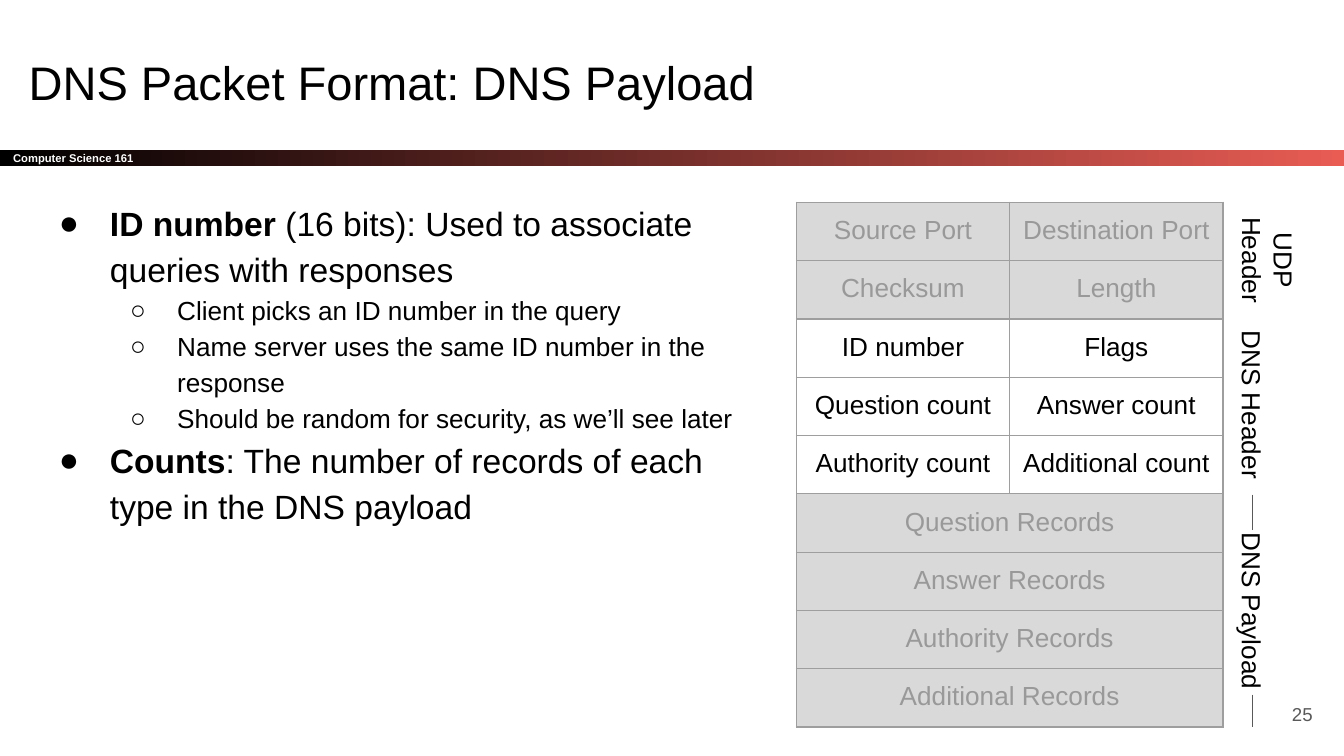
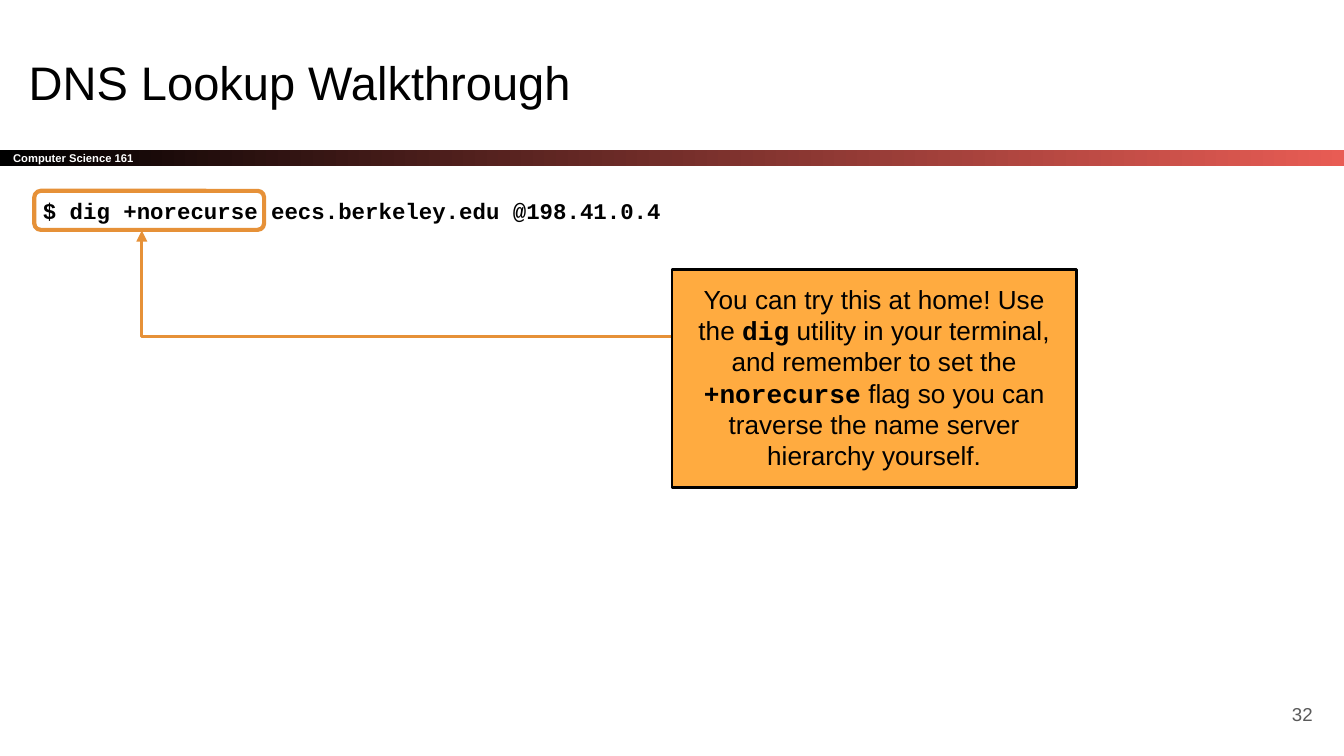
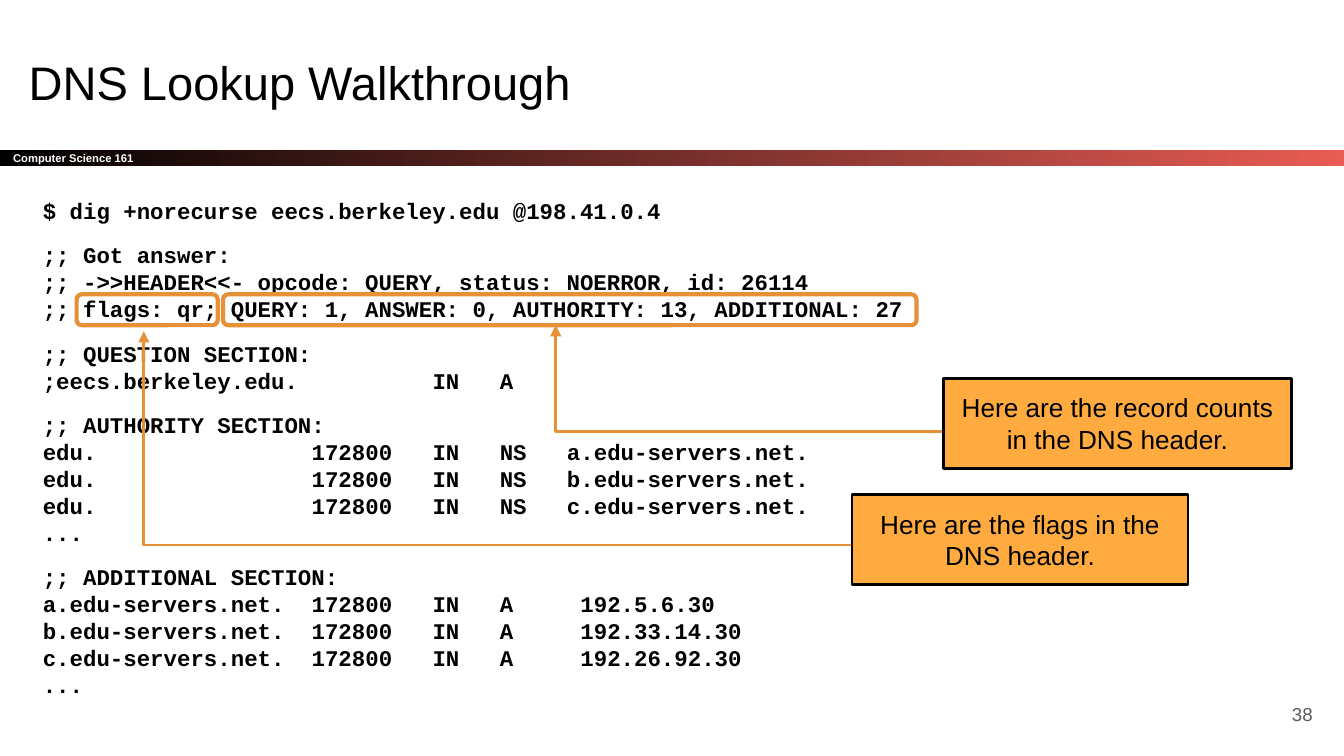
from collections import namedtuple

from lxml.etree import SubElement
from pptx import Presentation
from pptx.dml.color import RGBColor
from pptx.enum.shapes import MSO_CONNECTOR, MSO_SHAPE
from pptx.enum.text import MSO_ANCHOR, PP_ALIGN
from pptx.oxml.ns import qn
from pptx.util import Inches, Pt

COLS, ROWS = 100, 56.25
WIDTH = Inches(10)
UNIT = WIDTH // COLS

SANS, MONO = "Arial", "Courier New"
BLACK, WHITE, RED = "000000", "FFFFFF", "E85C54"
GRAY, MUTED, PALE, RULE = "595959", "999999", "D9D9D9", "9E9E9E"
ORANGE, AMBER = "E69138", "FFAB40"

Box = namedtuple("Box", "x y w h")
TITLE = Box(1.15, 3, 93.2, 6.3)
BAND = Box(0, 11.15, COLS, 1.2)
NUMBER = Box(92.65, 51, 6, 4.3)
BULLETS = Box(2.2, 13.65, 55, 41.2)
TERMINAL = Box(2.2, 13.65, 66.9, 41.2)
PACKET = Box(59.25, 15.05, 31.75, 38.7)

COMMAND = "$ dig +norecurse eecs.berkeley.edu @198.41.0.4"


def rgb(color):
    return RGBColor.from_string(color)


def emu(*lengths):
    return [round(n * UNIT) for n in lengths]


def inside(box, part):
    return Box(box.x + part[0], box.y + part[1], part[2], part[3])


def add_text(tf, text, size=14, color=BLACK, font=SANS, bold=False,
             align=None, before=0, spacing=None, bullet=None, tabs=()):
    p = tf.add_paragraph() if tf.text else tf.paragraphs[0]
    pPr = p._p.get_or_add_pPr()
    if bullet:
        char, p.level, margin, indent = bullet
        pPr.set("marL", str(Inches(margin)))
        pPr.set("indent", str(Inches(indent)))
        clr = SubElement(pPr, qn("a:buClr"))
        SubElement(clr, qn("a:srgbClr"), val=color)
        SubElement(pPr, qn("a:buFont"), typeface=font)
        SubElement(pPr, qn("a:buChar"), char=char)
    if tabs:
        stops = SubElement(pPr, qn("a:tabLst"))
        for col in tabs:
            SubElement(stops, qn("a:tab"), pos=str(col * UNIT), algn="l")
    p.alignment = align
    if before:
        p.space_before = Pt(before)
    if spacing:
        p.line_spacing = spacing
    runs = [(text, {})] if isinstance(text, str) else text
    for words, own in runs:
        r = p.add_run()
        r.text = words
        r.font.size = Pt(size)
        r.font.name = own.get("font", font)
        r.font.bold = own.get("bold", bold)
        r.font.color.rgb = rgb(color)


def frame(sp, anchor=MSO_ANCHOR.TOP):
    tf = sp.text_frame
    tf.word_wrap = True
    tf.vertical_anchor = anchor
    tf.margin_left = tf.margin_right = tf.margin_top = tf.margin_bottom = UNIT
    return tf


def text_box(slide, box, anchor=MSO_ANCHOR.TOP, rotation=0):
    sp = slide.shapes.add_textbox(*emu(*box))
    sp.rotation = rotation
    return frame(sp, anchor)


def add_shape(slide, kind, box, fill=None, line=None, width=1.5):
    sp = slide.shapes.add_shape(kind, *emu(*box))
    style(sp, fill, line, width)
    return sp


def style(sp, fill, line, width):
    sp.shadow.inherit = False
    if fill:
        sp.fill.solid()
        sp.fill.fore_color.rgb = rgb(fill)
    else:
        sp.fill.background()
    if line:
        sp.line.color.rgb = rgb(line)
        sp.line.width = Pt(width)
    else:
        sp.line.fill.background()


def band(slide, box):
    sp = add_shape(slide, MSO_SHAPE.RECTANGLE, box)
    sp.fill.gradient()
    sp.fill.gradient_angle = 0
    for stop, (position, color) in zip(sp.fill.gradient_stops,
                                       ((0, BLACK), (1, RED))):
        stop.position = position
        stop.color.rgb = rgb(color)
    add_text(frame(sp, MSO_ANCHOR.MIDDLE), "Computer Science 161", size=6,
             color=WHITE, bold=True, align=PP_ALIGN.LEFT)


def base_slide(prs, title, number):
    slide = prs.slides.add_slide(prs.slide_layouts[6])
    slide.background.fill.solid()
    slide.background.fill.fore_color.rgb = rgb(WHITE)
    band(slide, BAND)
    add_text(text_box(slide, TITLE), title, size=25.2)
    add_text(text_box(slide, NUMBER, MSO_ANCHOR.MIDDLE), str(number), size=10,
             color=GRAY, align=PP_ALIGN.RIGHT)
    return slide


def bullet_list(slide, box, items):
    tf = text_box(slide, box)
    styles = (18, ("●", 0, 0.5, -0.38)), (14, ("○", 1, 1, -0.35))
    for level, text in items:
        size, bullet = styles[level]
        add_text(tf, text, size=size, bullet=bullet, spacing=1.15)


def cell_style(cell, fill):
    tcPr = cell._tc.get_or_add_tcPr()
    for side in ("lnL", "lnR", "lnT", "lnB"):
        ln = SubElement(tcPr, qn(f"a:{side}"), w=str(Pt(0.75)))
        SubElement(SubElement(ln, qn("a:solidFill")), qn("a:srgbClr"), val=RULE)
    if fill:
        cell.fill.solid()
        cell.fill.fore_color.rgb = rgb(fill)
    else:
        cell.fill.background()
    cell.margin_left = cell.margin_right = UNIT
    cell.margin_top = cell.margin_bottom = UNIT


def packet_table(slide, box, rows, active):
    table = slide.shapes.add_table(len(rows), 2, *emu(*box)).table
    table.first_row = table.horz_banding = False
    for i, names in enumerate(rows):
        for cell in table.rows[i].cells:
            cell_style(cell, None if i in active else PALE)
        if len(names) == 1:
            table.cell(i, 0).merge(table.cell(i, 1))
        for j, name in enumerate(names):
            add_text(table.cell(i, j).text_frame, name, align=PP_ALIGN.CENTER,
                     color=BLACK if i in active else MUTED)


def packet_labels(slide, box, row_count):
    row = box.h / row_count
    right = box.x + box.w
    for text, offset, middle, w, h in (("UDP Header", 3.35, 1, 8.7, 6.7),
                                       ("DNS Header", 2.15, 3.5, 13.1, 4.4),
                                       ("DNS Payload", 2.15, 7.07, 17.2, 4.4)):
        label = Box(right + offset - w / 2, box.y + middle * row - h / 2, w, h)
        add_text(text_box(slide, label, rotation=90), text,
                 align=PP_ALIGN.CENTER)
    for start, end in ((5.06, 5.68), (8.52, 9.08)):
        x = right + 2.2
        line = slide.shapes.add_connector(
            MSO_CONNECTOR.STRAIGHT,
            *emu(x, box.y + start * row, x, box.y + end * row))
        line.line.color.rgb = rgb(GRAY)
        line.line.width = Pt(0.75)
        SubElement(line._element.spPr, qn("a:effectLst"))


def terminal(slide, box, blocks):
    tf = text_box(slide, box)
    for i, (tabs, lines) in enumerate(blocks):
        for j, line in enumerate(lines):
            add_text(tf, line, size=12, font=MONO, bold=True,
                     before=9.5 if i and not j else 0,
                     tabs=tabs if "\t" in line else ())


def elbow_arrow(slide, box):
    x, y, right, bottom = emu(box.x, box.y, box.x + box.w, box.y + box.h)
    path = slide.shapes.build_freeform(x, y)
    path.add_line_segments([(x, bottom), (right, bottom)], close=False)
    sp = path.convert_to_shape()
    style(sp, None, ORANGE, 1.5)
    SubElement(sp.line._get_or_add_ln(), qn("a:headEnd"), type="triangle")


def annotate(slide, box, mark, arrow, note, text):
    elbow_arrow(slide, inside(box, arrow))
    add_shape(slide, MSO_SHAPE.ROUNDED_RECTANGLE, inside(box, mark),
              line=ORANGE, width=2.25)
    sp = add_shape(slide, MSO_SHAPE.RECTANGLE, inside(box, note),
                   fill=AMBER, line=BLACK)
    add_text(frame(sp), text, align=PP_ALIGN.CENTER)


def payload_slide(prs):
    slide = base_slide(prs, "DNS Packet Format: DNS Payload", 25)
    strong = {"bold": True}
    bullet_list(slide, BULLETS, [
        (0, [("ID number", strong),
             (" (16 bits): Used to associate queries with responses", {})]),
        (1, "Client picks an ID number in the query"),
        (1, "Name server uses the same ID number in the response"),
        (1, "Should be random for security, as we’ll see later"),
        (0, [("Counts", strong),
             (": The number of records of each type in the DNS payload", {})]),
    ])
    rows = [
        ("Source Port", "Destination Port"),
        ("Checksum", "Length"),
        ("ID number", "Flags"),
        ("Question count", "Answer count"),
        ("Authority count", "Additional count"),
        ("Question Records",),
        ("Answer Records",),
        ("Authority Records",),
        ("Additional Records",),
    ]
    packet_table(slide, PACKET, rows, active=range(2, 5))
    packet_labels(slide, PACKET, len(rows))


def command_slide(prs):
    slide = base_slide(prs, "DNS Lookup Walkthrough", 32)
    terminal(slide, TERMINAL, [((), [COMMAND])])
    code = {"font": MONO, "bold": True}
    annotate(slide, TERMINAL, mark=(0.35, 0.55, 17.1, 2.9),
             arrow=(8.35, 3.5, 40.8, 7.9), note=(47.8, 6.4, 30.1, 16.2),
             text=[("You can try this at home! Use the ", {}),
                   ("dig", code),
                   (" utility in your terminal, and remember to set the ", {}),
                   ("+norecurse", code),
                   (" flag so you can traverse the name server hierarchy "
                    "yourself.", {})])


def answer_slide(prs):
    slide = base_slide(prs, "DNS Lookup Walkthrough", 38)
    servers = [f"{letter}.edu-servers.net." for letter in "abc"]
    addresses = ["192.5.6.30", "192.33.14.30", "192.26.92.30"]
    terminal(slide, TERMINAL, [
        ((), [COMMAND]),
        ((), [";; Got answer:",
              ";; ->>HEADER<<- opcode: QUERY, status: NOERROR, id: 26114",
              ";; flags: qr; QUERY: 1, ANSWER: 0, AUTHORITY: 13, "
              "ADDITIONAL: 27"]),
        ((29, 34), [";; QUESTION SECTION:", ";eecs.berkeley.edu.\tIN\tA"]),
        ((20, 29, 34, 39),
         [";; AUTHORITY SECTION:",
          *(f"edu.\t172800\tIN\tNS\t{name}" for name in servers), "..."]),
        ((20, 29, 34, 40),
         [";; ADDITIONAL SECTION:",
          *(f"{name}\t172800\tIN\tA\t{address}"
            for name, address in zip(servers, addresses)), "..."]),
    ])
    annotate(slide, TERMINAL, mark=(3.5, 8.25, 10.5, 2.3),
             arrow=(8.5, 11, 56.1, 15.9), note=(61.2, 23.15, 25, 6.7),
             text="Here are the flags in the DNS header.")
    annotate(slide, TERMINAL, mark=(14.4, 8.25, 51.6, 2.3),
             arrow=(39.15, 10.55, 37.2, 7.9), note=(68, 14.5, 25.9, 6.7),
             text="Here are the record counts in the DNS header.")


def main():
    prs = Presentation()
    prs.slide_width, prs.slide_height = emu(COLS, ROWS)
    payload_slide(prs)
    command_slide(prs)
    answer_slide(prs)
    prs.save("out.pptx")


if __name__ == "__main__":
    main()
